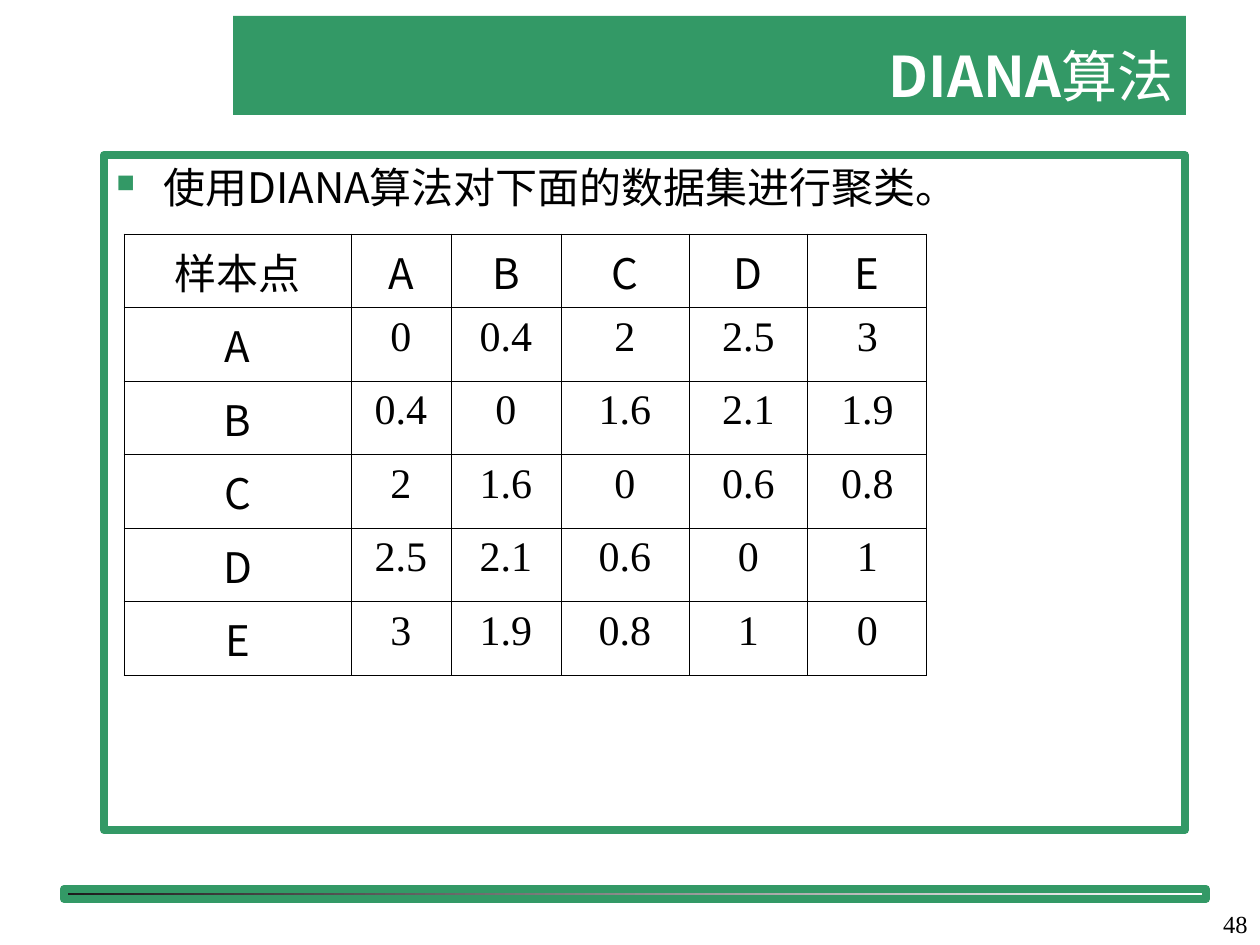
from dataclasses import dataclass

from lxml import etree
from pptx import Presentation
from pptx.dml.color import RGBColor
from pptx.enum import shapes, text
from pptx.oxml import ns
from pptx.util import Emu, Pt

PX = 914400 // 126
GREEN = RGBColor(0x33, 0x99, 0x66)
CHARCOAL = RGBColor(0x1C, 0x1C, 0x1C)
WHITE = RGBColor(0xFF, 0xFF, 0xFF)
BLACK = RGBColor(0, 0, 0)
SANS_JP = "Noto Sans CJK JP"
SANS_SC = "Noto Sans CJK SC"
SERIF = "Times New Roman"


@dataclass(frozen=True)
class Box:
    left: int
    top: int
    width: int
    height: int

    def emu(self) -> list[Emu]:
        return [Emu(v * PX) for v in (self.left, self.top, self.width, self.height)]


@dataclass(frozen=True)
class Style:
    size: int
    latin: str
    color: RGBColor = BLACK
    asian: str = SANS_JP
    bold: bool = False


def add_node(parent, tag: str, **attributes: str):
    return etree.SubElement(parent, ns.qn(tag), attributes)


def style_run(run, style: Style) -> None:
    font = run.font
    font.size, font.name, font.bold = Pt(style.size), style.latin, style.bold
    font.color.rgb = style.color
    add_node(run._r.get_or_add_rPr(), "a:ea", typeface=style.asian)


def add_run(paragraph, wording: str, style: Style) -> None:
    run = paragraph.add_run()
    run.text = wording
    style_run(run, style)


def add_panel(slide, box: Box, fill: RGBColor | None = None, outlined: bool = False):
    panel = slide.shapes.add_shape(shapes.MSO_SHAPE.RECTANGLE, *box.emu())
    panel.shadow.inherit = False
    if fill is None:
        panel.fill.background()
    else:
        panel.fill.solid()
        panel.fill.fore_color.rgb = fill
    if outlined:
        panel.line.color.rgb = GREEN
        panel.line.width = Pt(4.5)
    else:
        panel.line.fill.background()
    return panel


def start_text(shape, anchor, alignment):
    frame = shape.text_frame
    frame.word_wrap = True
    frame.vertical_anchor = anchor
    paragraph = frame.paragraphs[0]
    paragraph.alignment = alignment
    return paragraph


def add_bullet(paragraph, indent: int) -> None:
    props = paragraph._p.get_or_add_pPr()
    props.set("marL", str(indent * PX))
    props.set("indent", str(-indent * PX))
    add_node(add_node(props, "a:buClr"), "a:srgbClr", val=str(GREEN))
    add_node(props, "a:buSzPct", val="60000")
    add_node(props, "a:buChar", char="■")


def fill_cell(cell, wording: str, style: Style) -> None:
    cell.fill.background()
    paragraph = cell.text_frame.paragraphs[0]
    paragraph.text = wording
    paragraph.alignment = text.PP_ALIGN.CENTER
    style_run(paragraph.runs[0], style)
    props = cell._tc.get_or_add_tcPr()
    for position, side in enumerate(("a:lnL", "a:lnR", "a:lnT", "a:lnB")):
        border = etree.Element(ns.qn(side), w=str(Pt(0.45)))
        add_node(add_node(border, "a:solidFill"), "a:srgbClr", val=str(BLACK))
        props.insert(position, border)


def add_distances(slide, box: Box, widths: list[int], rows: list[list[str]]) -> None:
    table = slide.shapes.add_table(len(rows), len(widths), *box.emu()).table
    table.first_row = table.horz_banding = False
    for column, width in zip(table.columns, widths):
        column.width = Emu(width * PX)
    label, number = Style(24, SANS_JP), Style(24, SERIF)
    for r, row in enumerate(rows):
        for c, wording in enumerate(row):
            is_label = (r == 0) != (c == 0)
            fill_cell(table.cell(r, c), wording, label if is_label else number)


def main() -> None:
    deck = Presentation()
    deck.slide_width, deck.slide_height = Emu(1260 * PX), Emu(945 * PX)
    slide = deck.slides.add_slide(deck.slide_layouts[6])

    # Footer bar
    bar = add_panel(slide, Box(64, 889, 1142, 10), outlined=True)
    bar.fill.gradient()
    bar.fill.gradient_angle = 0
    for stop, color in zip(bar.fill.gradient_stops, (CHARCOAL, WHITE)):
        stop.color.rgb = color

    # Title
    banner = add_panel(slide, Box(233, 16, 953, 99), fill=GREEN)
    title = start_text(banner, text.MSO_ANCHOR.BOTTOM, text.PP_ALIGN.RIGHT)
    for wording, bold in (("DIANA", True), ("算法", False)):
        add_run(title, wording, Style(32, SANS_SC, WHITE, SANS_SC, bold))

    # Framed task
    frame = add_panel(slide, Box(104, 155, 1081, 675), outlined=True)
    task = start_text(frame, text.MSO_ANCHOR.TOP, text.PP_ALIGN.LEFT)
    add_bullet(task, 47)
    add_run(task, "使用DIANA算法对下面的数据集进行聚类。", Style(24, SANS_JP))

    # Distance matrix
    points = "ABCDE"
    distances = [
        "0 0.4 2 2.5 3",
        "0.4 0 1.6 2.1 1.9",
        "2 1.6 0 0.6 0.8",
        "2.5 2.1 0.6 0 1",
        "3 1.9 0.8 1 0",
    ]
    rows = [["样本点", *points]]
    rows += [[point, *line.split()] for point, line in zip(points, distances)]
    widths = [227, 100, 110, 128, 119, 119]
    add_distances(slide, Box(124, 234, sum(widths), 378), widths, rows)

    # Page number
    corner = slide.shapes.add_textbox(*Box(998, 882, 262, 63).emu())
    page = start_text(corner, text.MSO_ANCHOR.BOTTOM, text.PP_ALIGN.RIGHT)
    add_run(page, "48", Style(14, SERIF))

    deck.save("out.pptx")


if __name__ == "__main__":
    main()
